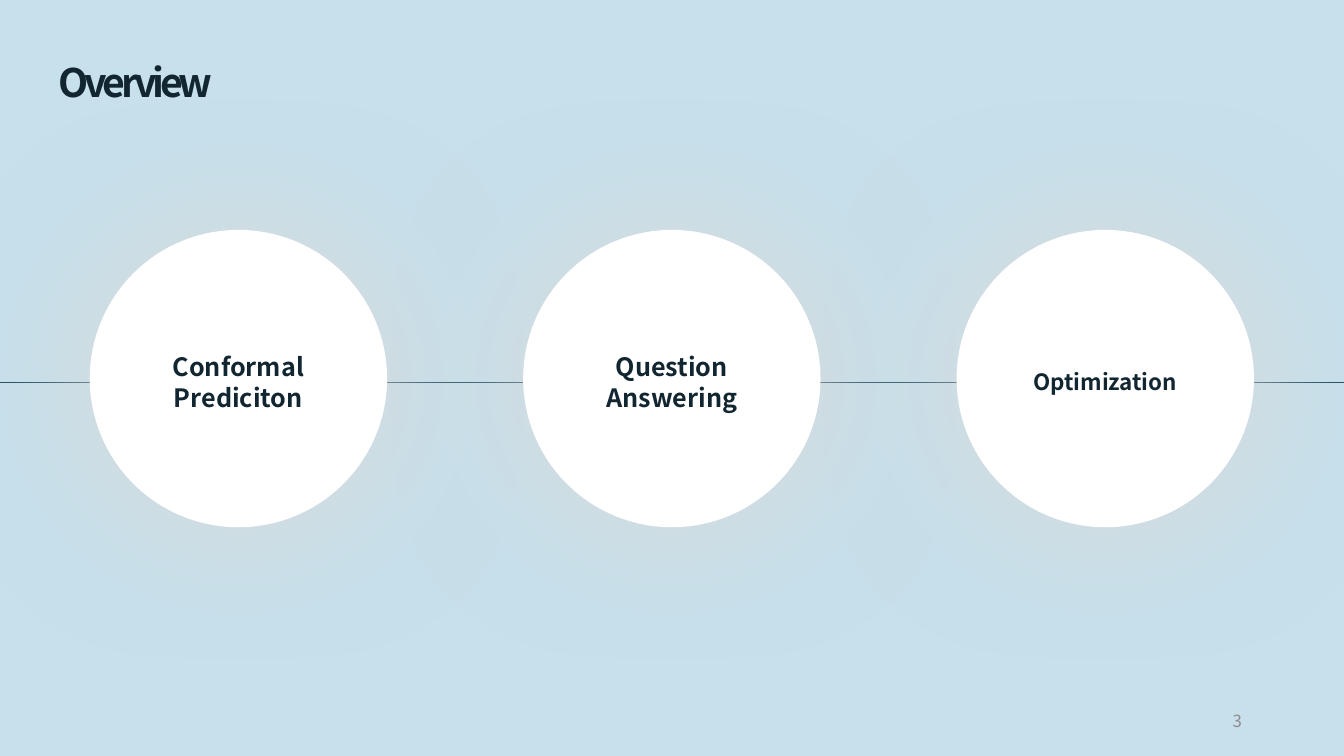
from dataclasses import dataclass

from lxml import etree
from pptx import Presentation
from pptx.dml.color import RGBColor
from pptx.enum import shapes, text
from pptx.oxml import ns
from pptx.shapes.autoshape import Shape
from pptx.slide import Slide
from pptx.text.text import TextFrame
from pptx.util import Pt

FONT = "Noto Sans CJK KR"
SKY = RGBColor(0xC7, 0xE0, 0xEB)
INK = RGBColor(0x11, 0x26, 0x30)
TEAL = RGBColor(0x22, 0x4D, 0x60)
WHITE = RGBColor(0xFF, 0xFF, 0xFF)
GRAY = RGBColor(0x8C, 0x8C, 0x8C)
HALO = RGBColor(0xD9, 0xD9, 0xD9)

SLIDE_W, SLIDE_H = 960, 540
AXIS_Y = 272.9
CIRCLE_TOP, CIRCLE_SIZE = 164.2, 212.4
FIRST_CIRCLE_X, CIRCLE_STEP = 64.1, 309.6
LABEL_W = 124.6


@dataclass(frozen=True)
class Topic:
    lines: tuple[str, ...]
    size: float
    label_top: float
    label_height: float


TOPICS = (
    Topic(("Conformal", "Prediciton"), 18, 247.7, 51.1),
    Topic(("Question", "Answering"), 18, 247.7, 51.1),
    Topic(("Optimization",), 16, 259.2, 26.6),
)


def write(frame: TextFrame, lines: tuple[str, ...], size: float,
          color: RGBColor, bold: bool, align: text.PP_ALIGN,
          anchor: text.MSO_ANCHOR = text.MSO_ANCHOR.TOP) -> None:
    frame.word_wrap = True
    frame.vertical_anchor = anchor
    for index, line in enumerate(lines):
        paragraph = frame.paragraphs[0] if index == 0 else frame.add_paragraph()
        paragraph.alignment = align
        run = paragraph.add_run()
        run.text = line
        run.font.name = FONT
        run.font.size = Pt(size)
        run.font.bold = bold
        run.font.color.rgb = color


def add_halo(circle: Shape) -> None:
    """Give the circle a wide, soft shadow."""
    circle.shadow.inherit = False
    effects = circle._element.spPr.find(ns.qn("a:effectLst"))
    halo = etree.SubElement(
        effects, ns.qn("a:outerShdw"), blurRad=str(Pt(100)), dist=str(Pt(1)),
        dir=str(45 * 60000), algn="ctr", rotWithShape="0")
    etree.SubElement(halo, ns.qn("a:srgbClr"), val=str(HALO))


def add_circle(slide: Slide, left: float) -> None:
    circle = slide.shapes.add_shape(
        shapes.MSO_SHAPE.OVAL, Pt(left), Pt(CIRCLE_TOP),
        Pt(CIRCLE_SIZE), Pt(CIRCLE_SIZE))
    circle.fill.solid()
    circle.fill.fore_color.rgb = WHITE
    circle.line.fill.background()
    add_halo(circle)


def add_label(slide: Slide, topic: Topic, circle_left: float) -> None:
    left = circle_left + (CIRCLE_SIZE - LABEL_W) / 2
    label = slide.shapes.add_textbox(
        Pt(left), Pt(topic.label_top), Pt(LABEL_W), Pt(topic.label_height))
    label.text_frame.auto_size = text.MSO_AUTO_SIZE.SHAPE_TO_FIT_TEXT
    write(label.text_frame, topic.lines, topic.size, INK, True,
          text.PP_ALIGN.CENTER)


def add_title(slide: Slide) -> None:
    title = slide.shapes.title
    title.left, title.top = Pt(34.6), Pt(38.2)
    title.width, title.height = Pt(384), Pt(41)
    title.text_frame.auto_size = text.MSO_AUTO_SIZE.SHAPE_TO_FIT_TEXT
    write(title.text_frame, ("Overview",), 28, INK, True, text.PP_ALIGN.LEFT)
    # Tight letter spacing, in hundredths of a point
    title.text_frame.paragraphs[0].runs[0].font._element.set("spc", "-300")


def add_axis(slide: Slide) -> None:
    axis = slide.shapes.add_connector(
        shapes.MSO_CONNECTOR.STRAIGHT, 0, Pt(AXIS_Y), Pt(SLIDE_W), Pt(AXIS_Y))
    axis.line.color.rgb = TEAL
    axis.line.width = Pt(0.5)
    etree.SubElement(axis._element.spPr, ns.qn("a:effectLst"))


def main() -> None:
    deck = Presentation()
    deck.slide_width, deck.slide_height = Pt(SLIDE_W), Pt(SLIDE_H)
    slide = deck.slides.add_slide(deck.slide_layouts.get_by_name("Title Only"))
    slide.background.fill.solid()
    slide.background.fill.fore_color.rgb = SKY

    # Title and the line behind the circles
    add_title(slide)
    add_axis(slide)

    # Circles first, so that no halo covers a label
    circle_lefts = [FIRST_CIRCLE_X + CIRCLE_STEP * i for i in range(len(TOPICS))]
    for left in circle_lefts:
        add_circle(slide, left)
    for topic, left in zip(TOPICS, circle_lefts):
        add_label(slide, topic, left)

    # Page number
    page_number = slide.shapes.add_textbox(Pt(678.2), Pt(500.4), Pt(216), Pt(28.8))
    write(page_number.text_frame, ("3",), 12, GRAY, False,
          text.PP_ALIGN.RIGHT, text.MSO_ANCHOR.MIDDLE)

    deck.save("out.pptx")


if __name__ == "__main__":
    main()
